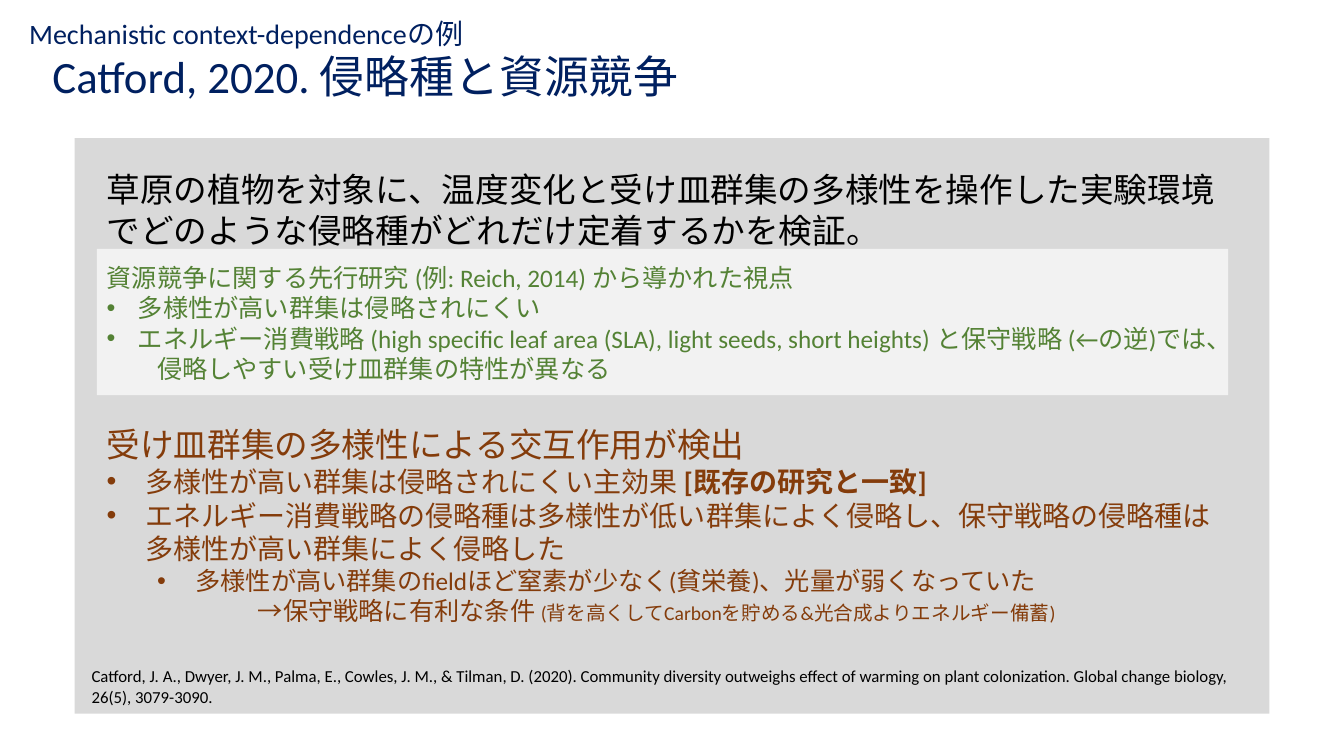
from pptx import Presentation, util as u
from pptx.dml.color import RGBColor
from pptx.enum import shapes, text
from pptx.oxml.ns import qn
from lxml import etree

NAVY, BLACK, GREEN, BROWN = "002060", "000000", "548235", "843C0B"

prs = Presentation()
prs.slide_width, prs.slide_height = u.Inches(13.33), u.Inches(7.5)
s = prs.slides.add_slide(prs.slide_layouts[5])


def rgb(value):
    return RGBColor.from_string(value)


def write(sp, paragraphs):
    tf = sp.text_frame
    tf.word_wrap = True
    tf.auto_size = text.MSO_AUTO_SIZE.SHAPE_TO_FIT_TEXT
    tf.vertical_anchor = text.MSO_ANCHOR.TOP
    for i, (color, before, level, margin, bullet, runs) in enumerate(paragraphs):
        p = tf.add_paragraph() if i else tf.paragraphs[0]
        p.alignment = text.PP_ALIGN.LEFT
        p.space_before = u.Pt(before)
        p.level = level
        pPr = p._p.get_or_add_pPr()
        pPr.set("marL", str(u.Inches(margin)))
        pPr.set("indent", str(-u.Inches(bullet)))
        if bullet:
            etree.SubElement(pPr, qn("a:buFont")).set("typeface", "Arial")
            etree.SubElement(pPr, qn("a:buChar")).set("char", "•")
        for words, size, bold in runs:
            r = p.add_run()
            r.text = words
            r.font.name = "Calibri"
            r.font.size = u.Pt(size)
            r.font.bold = bold
            r.font.color.rgb = rgb(color)


title = s.shapes.title
title.left, title.top, title.width, title.height = map(u.Inches, (0.42, 0.43, 12.4, 0.64))
write(title, [(NAVY, 0, 0, 0, 0, [("Catford, 2020. 侵略種と資源競争", 32, False)])])

for fill, box in [("D9D9D9", (0.74, 1.37, 11.85, 5.71)), ("F2F2F2", (0.96, 2.47, 11.22, 1.45))]:
    sp = s.shapes.add_shape(shapes.MSO_SHAPE.RECTANGLE, *map(u.Inches, box))
    sp.shadow.inherit = False
    sp.fill.solid()
    sp.fill.fore_color.rgb = rgb(fill)
    sp.line.fill.background()

citation = [(BLACK, 0, 0, 0, 0, [
    ("Catford, J. A., Dwyer, J. M., Palma, E., Cowles, J. M., & Tilman, D. (2020). "
     "Community diversity outweighs effect of warming on plant colonization. "
     "Global change biology, 26(5), 3079-3090.", 12, False)])]

study = [
    (BLACK, 0, 0, 0, 0, [
        ("草原の植物を対象に、温度変化と受け皿群集の多様性を操作した実験環境で"
         "どのような侵略種がどれだけ定着するかを検証。", 24, False)]),
    (GREEN, 9, 0, 0, 0, [
        ("資源競争に関する先行研究 (例: Reich, 2014) から導かれた視点", 18, False)]),
    (GREEN, 0, 0, 0.31, 0.31, [("多様性が高い群集は侵略されにくい", 18, False)]),
    (GREEN, 0, 0, 0.31, 0.31, [
        ("エネルギー消費戦略 (high specific leaf area (SLA), light seeds, short heights) "
         "と保守戦略 (←の逆)では、\t侵略しやすい受け皿群集の特性が異なる", 18, False)]),
    (BROWN, 29, 0, 0, 0, [("受け皿群集の多様性による交互作用が検出", 24, False)]),
    (BROWN, 0, 0, 0.38, 0.38, [
        ("多様性が高い群集は侵略されにくい主効果 ", 20, False),
        ("[既存の研究と一致]", 20, True)]),
    (BROWN, 0, 0, 0.38, 0.38, [
        ("エネルギー消費戦略の侵略種は多様性が低い群集によく侵略し、"
         "保守戦略の侵略種は多様性が高い群集によく侵略した", 20, False)]),
    (BROWN, 0, 1, 0.88, 0.38, [
        ("多様性が高い群集のfieldほど窒素が少なく(貧栄養)、光量が弱くなっていた", 18, False)]),
    (BROWN, 0, 1, 1.5, 0, [
        ("→保守戦略に有利な条件 ", 18, False),
        ("(背を高くしてCarbonを貯める&光合成よりエネルギー備蓄)", 14, False)]),
]

kicker = [(NAVY, 0, 0, 0, 0, [("Mechanistic context-dependenceの例", 20, False)])]

for box, paragraphs in [
    ((0.81, 6.56, 11.62, 0.5), citation),
    ((0.96, 1.63, 11.32, 4.75), study),
    ((0.19, 0.11, 12.4, 0.44), kicker),
]:
    write(s.shapes.add_textbox(*map(u.Inches, box)), paragraphs)

prs.save("out.pptx")
